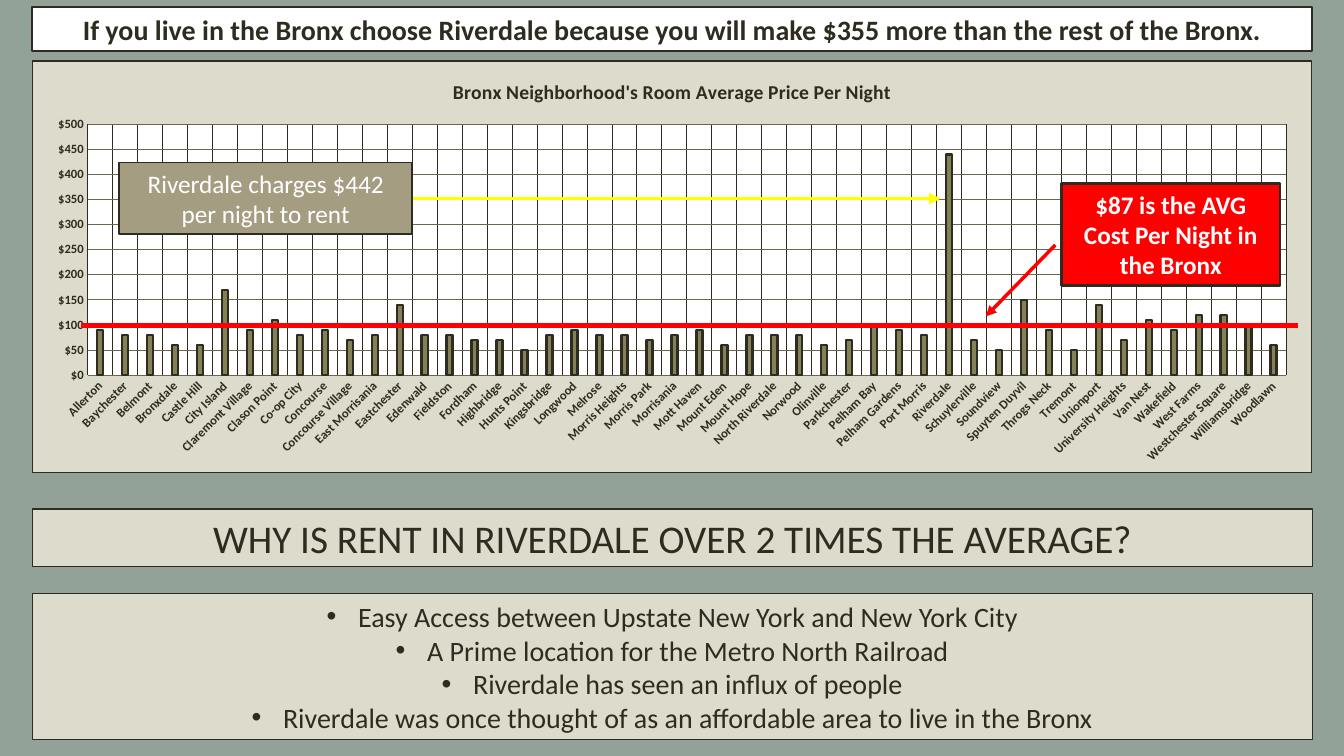
"""Build the slide on Bronx room prices and Riverdale rent."""
from lxml import etree
from pptx import Presentation
from pptx.chart import data as cd
from pptx.dml.color import RGBColor
from pptx.enum import chart as ch, shapes, text
from pptx.oxml import parse_xml
from pptx.oxml.ns import nsdecls, qn
from pptx.util import Pt

HEADLINE = ("If you live in the Bronx choose Riverdale because you will make "
            "$355 more than the rest of the Bronx.")
QUESTION = "WHY IS RENT IN RIVERDALE OVER 2 TIMES THE AVERAGE?"
REASONS = [
    "Easy Access between Upstate New York and New York City",
    "A Prime location for the Metro North Railroad",
    "Riverdale has seen an influx of people",
    "Riverdale was once thought of as an affordable area to live in the Bronx",
]
RIVERDALE_NOTE = "Riverdale charges $442 per night to rent"
AVERAGE_NOTE = "$87 is the AVG Cost Per Night in the Bronx"
CHART_TITLE = "Bronx Neighborhood's Room Average Price Per Night"
PRICES = {
    "Allerton": 90, "Baychester": 80, "Belmont": 80, "Bronxdale": 60,
    "Castle Hill": 60, "City Island": 170, "Claremont Village": 90,
    "Clason Point": 110, "Co-op City": 80, "Concourse": 90,
    "Concourse Village": 70, "East Morrisania": 80, "Eastchester": 140,
    "Edenwald": 80, "Fieldston": 80, "Fordham": 70, "Highbridge": 70,
    "Hunts Point": 50, "Kingsbridge": 80, "Longwood": 90, "Melrose": 80,
    "Morris Heights": 80, "Morris Park": 70, "Morrisania": 80,
    "Mott Haven": 90, "Mount Eden": 60, "Mount Hope": 80,
    "North Riverdale": 80, "Norwood": 80, "Olinville": 60,
    "Parkchester": 70, "Pelham Bay": 100, "Pelham Gardens": 90,
    "Port Morris": 80, "Riverdale": 440, "Schuylerville": 70,
    "Soundview": 50, "Spuyten Duyvil": 150, "Throgs Neck": 90,
    "Tremont": 50, "Unionport": 140, "University Heights": 70,
    "Van Nest": 110, "Wakefield": 90, "West Farms": 120,
    "Westchester Square": 120, "Williamsbridge": 100, "Woodlawn": 60,
}
THEME = {
    "font": "Calibri", "back": "93A299", "ink": "2E2B21", "panel": "DDDBCB",
    "white": "FFFFFF", "note": "A59D82", "red": "FF0000", "yellow": "FFFF00",
    "bar": "858157", "grid": "6D664E",
    "question": 28, "body": 20, "callout": 18, "chart_title": 14, "axis": 9,
}
LEFT, WIDTH = 23, 914.4
CHART_TOP, CHART_HEIGHT = 43.2, 294.5
PLOT = {"x": 0.043, "y": 0.154, "w": 0.937, "h": 0.61}


def rgb(name):
    return RGBColor.from_string(THEME[name])


def style_font(font, size, color="ink", bold=False):
    font.name, font.size, font.bold = THEME["font"], Pt(THEME[size]), bold
    font.color.rgb = rgb(color)


def style_line(line, color, width):
    line.color.rgb = rgb(color)
    line.width = Pt(width)


def fill_box(sp, box, lines, size, fill, border, color="ink", bold=False):
    sp.left, sp.top, sp.width, sp.height = (Pt(v) for v in box)
    sp.fill.solid()
    sp.fill.fore_color.rgb = rgb(fill)
    style_line(sp.line, "ink", border)
    tf = sp.text_frame
    tf.text = "\n".join(lines)
    tf.word_wrap, tf.auto_size = True, text.MSO_AUTO_SIZE.NONE
    tf.vertical_anchor = text.MSO_ANCHOR.MIDDLE
    for p in tf.paragraphs:
        p.alignment = text.PP_ALIGN.CENTER
        p.space_before = Pt(0)
        style_font(p.runs[0].font, size, color, bold)


def add_box(slide, *args, **kwargs):
    sp = slide.shapes.add_shape(shapes.MSO_SHAPE.RECTANGLE, 0, 0, 0, 0)
    sp.shadow.inherit = False
    fill_box(sp, *args, **kwargs)


def add_bullets(tf):
    for p in tf.paragraphs:
        pr = p._p.get_or_add_pPr()
        pr.set("marL", str(Pt(22.5)))
        pr.set("indent", str(-Pt(22.5)))
        etree.SubElement(pr, qn("a:buFont")).set("typeface", "Arial")
        etree.SubElement(pr, qn("a:buChar")).set("char", "•")


def add_line(slide, ends, color, width, arrow=False):
    cx = slide.shapes.add_connector(shapes.MSO_CONNECTOR.STRAIGHT, *(Pt(v) for v in ends))
    style_line(cx.line, color, width)
    if arrow:
        etree.SubElement(cx.line._get_or_add_ln(), qn("a:tailEnd")).set("type", "triangle")
    etree.SubElement(cx._element.spPr, qn("a:effectLst"))


def area_xml(fill, border=""):
    return parse_xml(
        f'<c:spPr {nsdecls("c", "a")}><a:solidFill><a:srgbClr val="{THEME[fill]}"/>'
        f'</a:solidFill>{border}</c:spPr>')


def style_axis(axis, grid):
    axis.major_tick_mark = axis.minor_tick_mark = ch.XL_TICK_MARK.NONE
    axis.format.line.fill.background()
    axis.has_major_gridlines = True
    style_line(axis.major_gridlines.format.line, grid, 0.75)
    style_font(axis.tick_labels.font, "axis", bold=True)


def add_price_chart(slide):
    data = cd.CategoryChartData()
    data.categories = list(PRICES)
    data.add_series("Series 1", list(PRICES.values()))
    chart = slide.shapes.add_chart(
        ch.XL_CHART_TYPE.COLUMN_CLUSTERED, Pt(LEFT), Pt(CHART_TOP),
        Pt(WIDTH), Pt(CHART_HEIGHT), data).chart
    style_font(chart.font, "axis")
    chart.has_legend = False
    chart.has_title = True
    tf = chart.chart_title.text_frame
    tf.text = CHART_TITLE
    style_font(tf.paragraphs[0].runs[0].font, "chart_title", bold=True)

    plot = chart.plots[0]
    plot.gap_width, plot.overlap, plot.vary_by_categories = 315, -40, False
    bars = plot.series[0].format
    bars.fill.solid()
    bars.fill.fore_color.rgb = rgb("bar")
    style_line(bars.line, "ink", 1.75)

    style_axis(chart.category_axis, "ink")
    chart.category_axis._element.find(qn("c:txPr")).find(qn("a:bodyPr")).set("rot", "-2700000")
    prices = chart.value_axis
    style_axis(prices, "grid")
    prices.minimum_scale, prices.maximum_scale, prices.major_unit = 0, 500, 50
    prices.tick_labels.number_format = '"$"#,##0'
    prices.tick_labels.number_format_is_linked = False

    area = chart._chartSpace.chart.plotArea
    for old in area.findall(qn("c:layout")):
        area.remove(old)
    places = "".join(f'<c:{k} val="{v}"/>' for k, v in PLOT.items())
    area.insert(0, parse_xml(
        f'<c:layout {nsdecls("c")}><c:manualLayout><c:layoutTarget val="inner"/>'
        f'<c:xMode val="edge"/><c:yMode val="edge"/>{places}</c:manualLayout></c:layout>'))
    area.append(area_xml("white"))
    border = (f'<a:ln w="{Pt(0.75)}"><a:solidFill><a:srgbClr val="{THEME["ink"]}"/>'
              '</a:solidFill></a:ln>')
    chart._chartSpace.find(qn("c:txPr")).addprevious(area_xml("panel", border))


def main():
    prs = Presentation()
    prs.slide_width, prs.slide_height = Pt(960), Pt(540)
    slide = prs.slides.add_slide(prs.slide_layouts[1])
    slide.background.fill.solid()
    slide.background.fill.fore_color.rgb = rgb("back")

    fill_box(slide.shapes.title, (LEFT, 5, WIDTH, 31.7), [HEADLINE],
             "body", "white", 1.25, bold=True)
    reasons = slide.placeholders[1]
    fill_box(reasons, (LEFT, 424, WIDTH, 104.4), REASONS, "body", "panel", 0.75)
    add_bullets(reasons.text_frame)
    add_price_chart(slide)
    add_box(slide, (LEFT, 363.6, WIDTH, 41), [QUESTION], "question", "panel", 0.75)

    add_line(slide, (295, 141.8, 672, 141.8), "yellow", 2.75, arrow=True)
    add_box(slide, (85, 116, 209.5, 51), [RIVERDALE_NOTE], "callout", "note", 1.25, "white")
    add_line(slide, (753.8, 175, 704.2, 226), "red", 2.5, arrow=True)
    add_box(slide, (758.2, 131, 156.2, 72.7), [AVERAGE_NOTE], "callout", "red", 2,
            "white", bold=True)
    add_line(slide, (57.6, 232.6, 927.4, 232.6), "red", 3.25)
    prs.save("out.pptx")


if __name__ == "__main__":
    main()
